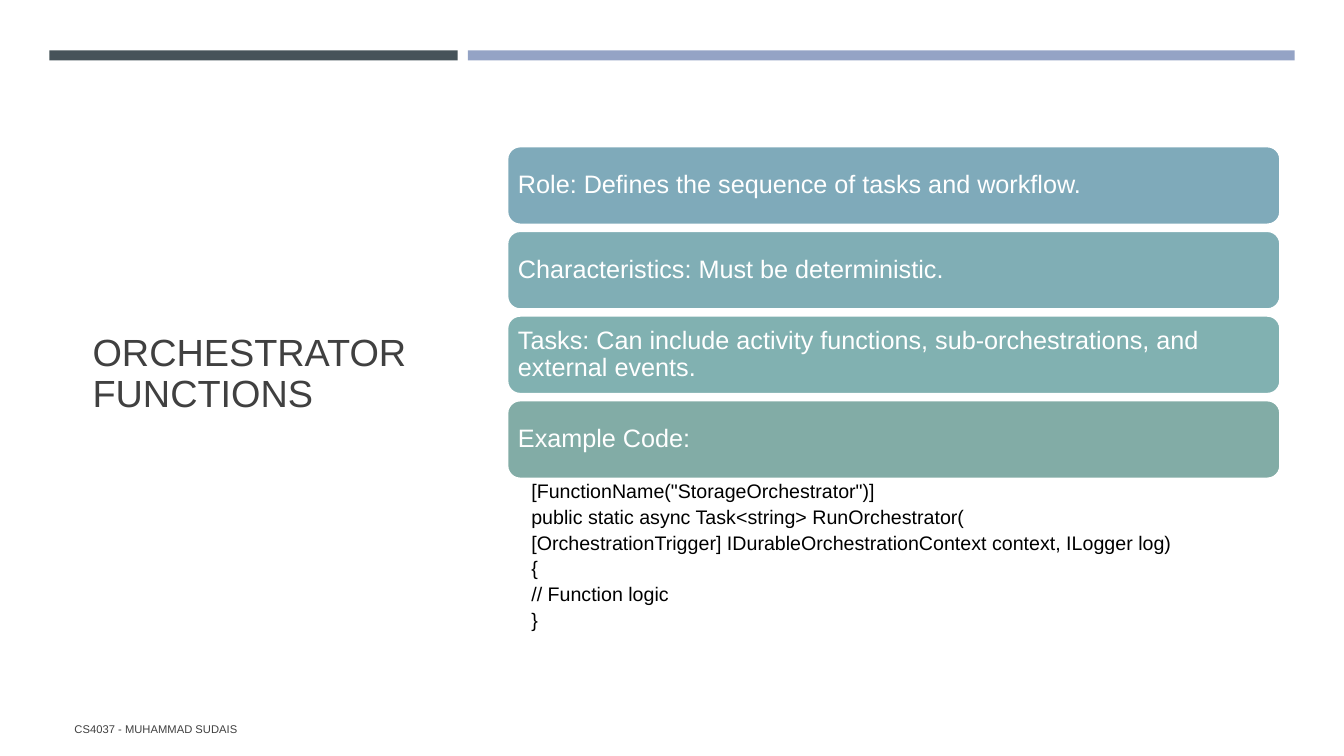
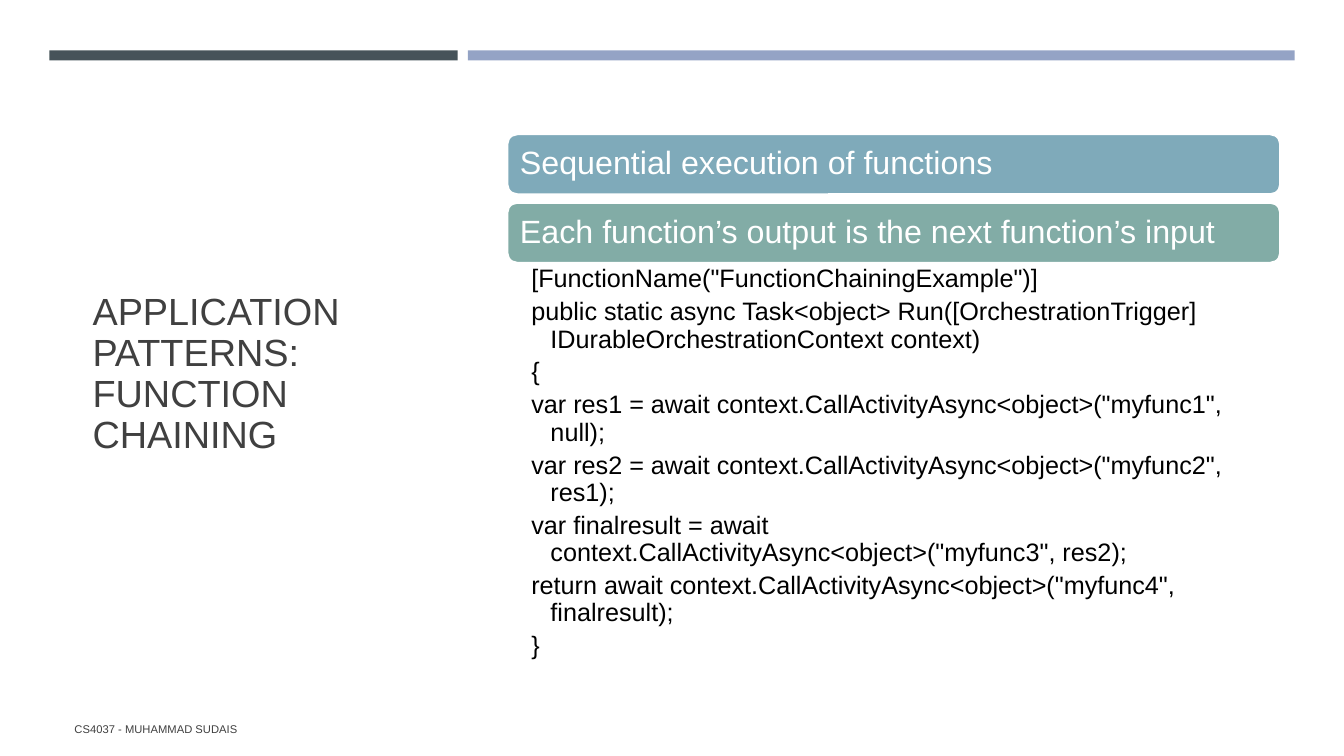
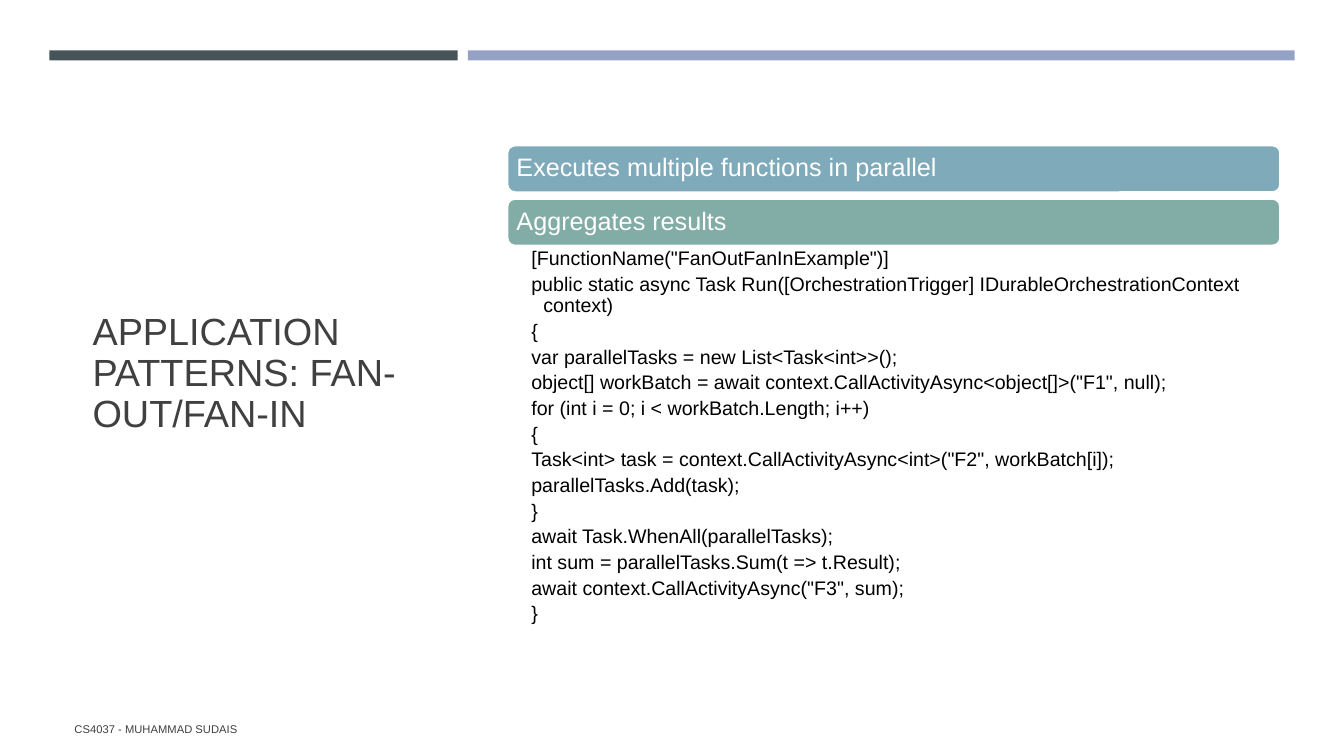
from pptx import Presentation
from pptx.dml.color import RGBColor
from pptx.enum.shapes import MSO_SHAPE
from pptx.enum.text import MSO_ANCHOR, PP_ALIGN
from pptx.util import Inches, Pt

RECT, ROUND = MSO_SHAPE.RECTANGLE, MSO_SHAPE.ROUNDED_RECTANGLE
TOP, MIDDLE = MSO_ANCHOR.TOP, MSO_ANCHOR.MIDDLE
LEFT = PP_ALIGN.LEFT

COLORS = {
    "white": "FFFFFF", "black": "000000", "text": "404040",
    "dark_band": "465359", "light_band": "94A3C5",
    "blue": "7FAABA", "aqua": "80AEB5", "teal": "81B1B1", "green": "82ACA6",
}
FOOTER = "CS4037 - MUHAMMAD SUDAIS"
PANEL_LEFT, PANEL_WIDTH = 5.03, 7.67

SLIDES = [
    {
        "title": "ORCHESTRATOR FUNCTIONS",
        "bars": [
            ("Role: Defines the sequence of tasks and workflow.", "blue"),
            ("Characteristics: Must be deterministic.", "aqua"),
            ("Tasks: Can include activity functions, sub-orchestrations, and external events.", "teal"),
            ("Example Code:", "green"),
        ],
        "bar_style": {"top": 1.45, "height": 0.78, "gap": 0.06, "size": 18, "inset": 0.07},
        "code": [
            '[FunctionName("StorageOrchestrator")]',
            "public static async Task<string> RunOrchestrator(",
            "[OrchestrationTrigger] IDurableOrchestrationContext context, ILogger log)",
            "{",
            "// Function logic",
            "}",
        ],
        "code_style": {"height": 1.59, "size": 14, "hang": 0.12, "right": 0.14},
    },
    {
        "title": "APPLICATION PATTERNS: FUNCTION CHAINING",
        "bars": [
            ("Sequential execution of functions", "blue"),
            ("Each function’s output is the next function’s input", "green"),
        ],
        "bar_style": {"top": 1.33, "height": 0.6, "gap": 0.08, "size": 23, "inset": 0.1},
        "code": [
            '[FunctionName("FunctionChainingExample")]',
            "public static async Task<object> Run([OrchestrationTrigger] IDurableOrchestrationContext context)",
            "{",
            'var res1 = await context.CallActivityAsync<object>("myfunc1", null);',
            'var res2 = await context.CallActivityAsync<object>("myfunc2", res1);',
            'var finalresult = await context.CallActivityAsync<object>("myfunc3", res2);',
            'return await context.CallActivityAsync<object>("myfunc4", finalresult);',
            "}",
        ],
        "code_style": {"height": 3.85, "size": 18, "hang": 0.19, "right": 0.18},
    },
    {
        "title": "APPLICATION PATTERNS: FAN-OUT/FAN-IN",
        "bars": [
            ("Executes multiple functions in parallel", "blue"),
            ("Aggregates results", "green"),
        ],
        "bar_style": {"top": 1.44, "height": 0.47, "gap": 0.06, "size": 18, "inset": 0.07},
        "code": [
            '[FunctionName("FanOutFanInExample")]',
            "public static async Task Run([OrchestrationTrigger] IDurableOrchestrationContext context)",
            "{",
            "var parallelTasks = new List<Task<int>>();",
            'object[] workBatch = await context.CallActivityAsync<object[]>("F1", null);',
            "for (int i = 0; i < workBatch.Length; i++)",
            "{",
            'Task<int> task = context.CallActivityAsync<int>("F2", workBatch[i]);',
            "parallelTasks.Add(task);",
            "}",
            "await Task.WhenAll(parallelTasks);",
            "int sum = parallelTasks.Sum(t => t.Result);",
            'await context.CallActivityAsync("F3", sum);',
            "}",
        ],
        "code_style": {"height": 3.91, "size": 14, "hang": 0.12, "right": 0.14},
    },
]


def rgb(name):
    return RGBColor.from_string(COLORS[name])


def set_values(target, values):
    for name, value in values.items():
        setattr(target, name, value)


class Deck:
    """Holds the shared style and the current slide."""

    font = "Arial"

    def __init__(self):
        self.prs = Presentation()
        set_values(self.prs, {"slide_width": Inches(13.33), "slide_height": Inches(7.5)})

    def new_slide(self, title):
        self.s = self.prs.slides.add_slide(self.prs.slide_layouts[6])
        self.textbox((0.82, 1.14, 3.34, 5.15), [title], 27, "text", spacing=0.9)
        self.shape(RECT, (0.49, 0.5, 4.05, 0.1), "dark_band")
        self.shape(RECT, (4.64, 0.5, 8.2, 0.1), "light_band")
        self.textbox((0.64, 7.03, 7.56, 0.4), [FOOTER], 8, "text")

    def shape(self, kind, box, fill):
        sp = self.s.shapes.add_shape(kind, *map(Inches, box))
        sp.shadow.inherit = False
        sp.fill.solid()
        sp.fill.fore_color.rgb = rgb(fill)
        sp.line.fill.background()
        return sp

    def fill_text(self, tf, lines, size, color, anchor=MIDDLE, insets=(0.1, 0.05, 0.1, 0.05),
                  spacing=1.0, after=0, hang=0):
        sides = ("margin_left", "margin_top", "margin_right", "margin_bottom")
        set_values(tf, {"word_wrap": True, "vertical_anchor": anchor})
        set_values(tf, dict(zip(sides, map(Inches, insets))))
        for i, line in enumerate(lines):
            p = tf.add_paragraph() if i else tf.paragraphs[0]
            set_values(p, {"alignment": LEFT, "line_spacing": spacing, "space_after": Pt(after)})
            if hang:
                pPr = p._p.get_or_add_pPr()
                pPr.set("marL", str(Inches(hang)))
                pPr.set("indent", str(-Inches(hang)))
            r = p.add_run()
            r.text = line
            set_values(r.font, {"name": self.font, "size": Pt(size)})
            r.font.color.rgb = rgb(color)

    def textbox(self, box, lines, size, color, **style):
        sp = self.s.shapes.add_textbox(*map(Inches, box))
        self.fill_text(sp.text_frame, lines, size, color, **style)

    def bars(self, items, top, height, gap, size, inset):
        for i, (text, fill) in enumerate(items):
            y = top + i * (height + gap)
            sp = self.shape(ROUND, (PANEL_LEFT, y, PANEL_WIDTH, height), fill)
            sp.line.color.rgb = rgb("white")
            sp.line.width = Pt(1.75)
            self.fill_text(sp.text_frame, [text], size, "white", insets=(inset,) * 4, spacing=0.9)
        return y + height

    def code(self, lines, top, height, size, hang, right):
        self.textbox((PANEL_LEFT, top, PANEL_WIDTH, height), lines, size, "black", anchor=TOP,
                     insets=(0.24, 0.03, right, 0.03), spacing=0.9,
                     after=round(size * 0.23, 1), hang=hang)


def main():
    deck = Deck()
    for content in SLIDES:
        deck.new_slide(content["title"])
        bottom = deck.bars(content["bars"], **content["bar_style"])
        deck.code(content["code"], bottom, **content["code_style"])
    deck.prs.save("out.pptx")


if __name__ == "__main__":
    main()
